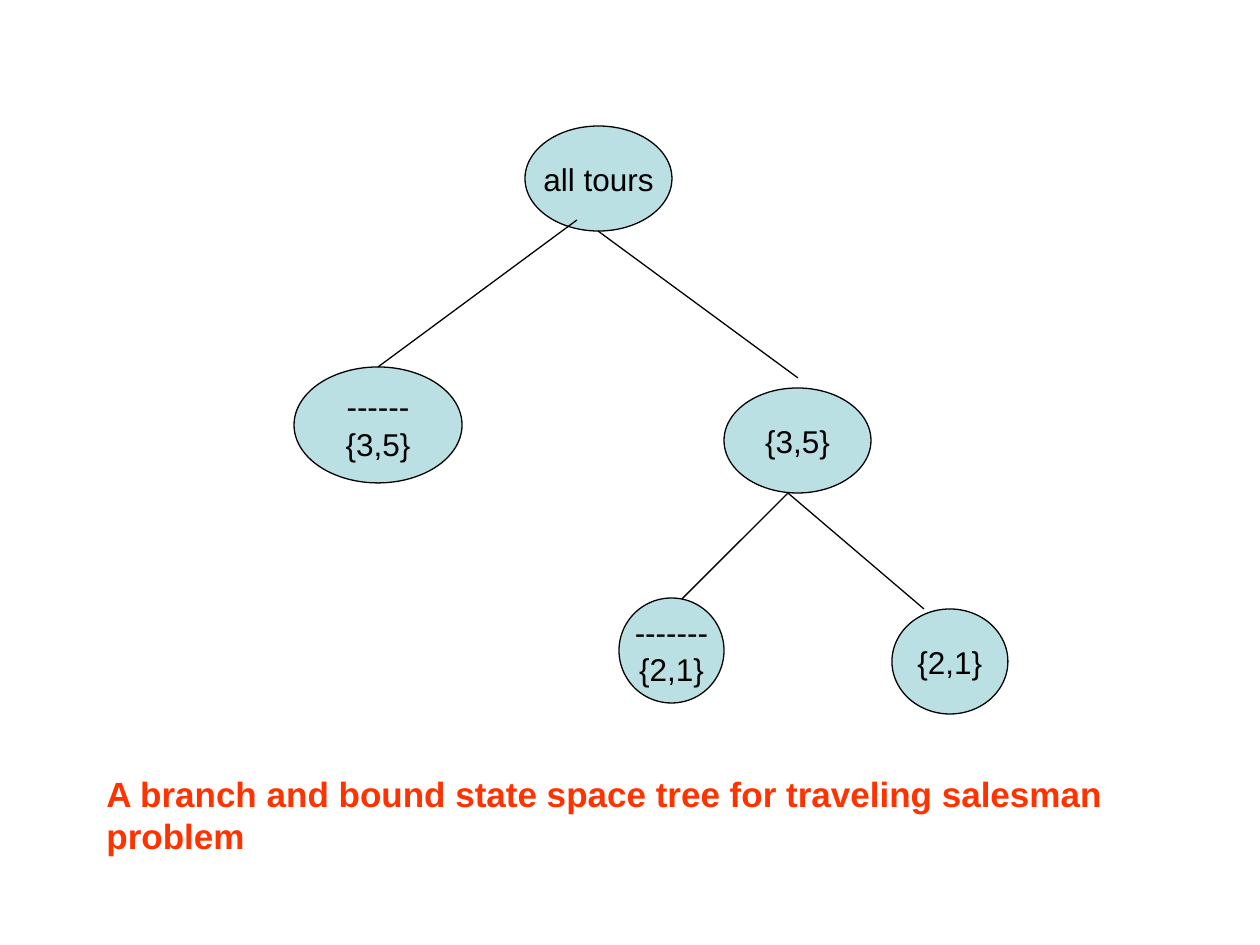
"""Build a slide with a branch and bound state space tree."""
import pptx
import pptx.dml.color
import pptx.enum.shapes
import pptx.enum.text
import pptx.oxml
import pptx.util

PX = 914400 // 126
THEME = {
    "font": "Arial", "fill": "BBE0E3", "ink": "000000", "accent": "FF3300",
    "node_size": 18, "caption_size": 20, "line": 0.75,
}
NODES = {
    "root": (["all tours"], (525, 126, 147, 105)),
    "without_3_5": (["------", "{3,5}"], (294, 367, 168, 116)),
    "with_3_5": (["{3,5}"], (724, 388, 147, 105)),
    "without_2_1": (["-------", "{2,1}"], (619, 598, 105, 105)),
    "with_2_1": (["{2,1}"], (892, 609, 116, 105)),
}
BRANCHES = [
    ((577, 220), (378, 367), "without_3_5"),
    ((598, 231), (798, 378), None),
    ((788, 493), (682, 599), None),
    ((788, 493), (924, 609), None),
]
CAPTION = "A branch and bound state space tree for traveling salesman problem"
CAPTION_BOX = (94, 766, 1030, 97)


def scale(lengths):
    return [length * PX for length in lengths]


def rgb(name):
    return pptx.dml.color.RGBColor.from_string(THEME[name])


def write(shape, lines, *, size, color, bold=False, align="LEFT", anchor="TOP",
          wrap=True, before=0):
    frame = shape.text_frame
    frame.word_wrap = wrap
    frame.vertical_anchor = pptx.enum.text.MSO_ANCHOR[anchor]
    frame.text = "\n".join(lines)
    for paragraph in frame.paragraphs:
        paragraph.alignment = pptx.enum.text.PP_ALIGN[align]
        paragraph.space_before = pptx.util.Pt(before)
        font = paragraph.runs[0].font
        font.name = THEME["font"]
        font.size = pptx.util.Pt(THEME[size])
        font.bold = bold
        font.color.rgb = rgb(color)


def outline(shape):
    shape.line.color.rgb = rgb("ink")
    shape.line.width = pptx.util.Pt(THEME["line"])


def add_node(slide, lines, box):
    shape = slide.shapes.add_shape(pptx.enum.shapes.MSO_SHAPE.OVAL, *scale(box))
    shape.shadow.inherit = False
    shape.fill.solid()
    shape.fill.fore_color.rgb = rgb("fill")
    outline(shape)
    write(shape, lines, size="node_size", color="ink", align="CENTER",
          anchor="MIDDLE", wrap=False)
    return shape


def add_branch(slide, start, end, child):
    connector = slide.shapes.add_connector(
        pptx.enum.shapes.MSO_CONNECTOR.STRAIGHT, *scale(start + end))
    outline(connector)
    connector._element.spPr.append(pptx.oxml.parse_xml(
        '<a:effectLst xmlns:a="http://schemas.openxmlformats.org/drawingml/2006/main"/>'))
    if child is not None:
        connector.end_connect(child, 0)


def main():
    presentation = pptx.Presentation()
    presentation.slide_width = pptx.util.Inches(10)
    presentation.slide_height = pptx.util.Inches(7.5)
    slide = presentation.slides.add_slide(presentation.slide_layouts[6])
    nodes = {name: add_node(slide, *node) for name, node in NODES.items()}
    for start, end, child in BRANCHES:
        add_branch(slide, start, end, nodes.get(child))
    caption = slide.shapes.add_textbox(*scale(CAPTION_BOX))
    write(caption, [CAPTION], size="caption_size", color="accent", bold=True,
          before=12.5)
    presentation.save("out.pptx")


if __name__ == "__main__":
    main()
